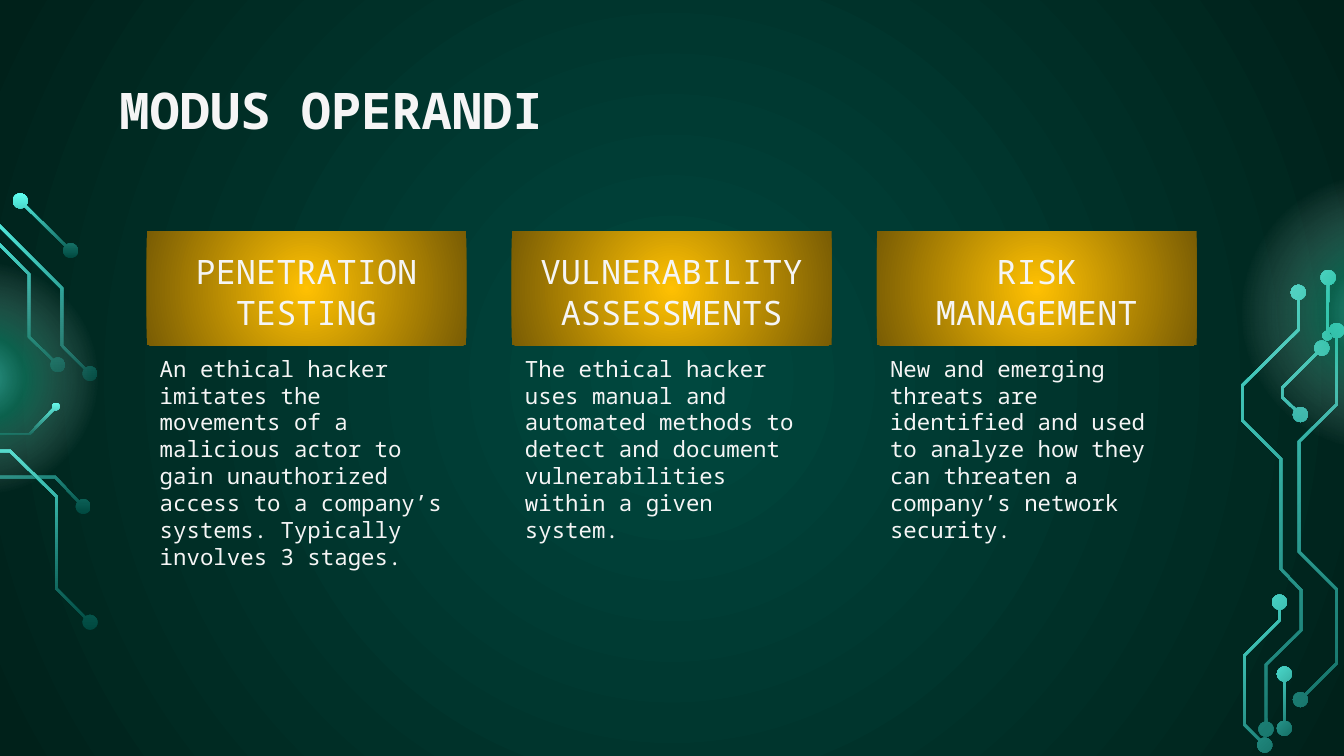
"""Build the Modus Operandi slide with three method cards and circuit traces."""
from dataclasses import dataclass
from math import cos, hypot, pi, radians, sin

from lxml.etree import SubElement
from pptx import Presentation
from pptx.dml.color import RGBColor
from pptx.enum.shapes import MSO_SHAPE
from pptx.enum.text import MSO_ANCHOR, PP_ALIGN
from pptx.oxml.ns import qn
from pptx.util import Pt

Point = tuple[float, float]

FONT = "Noto Sans Mono"
OFF_WHITE = RGBColor(0xF5, 0xF5, 0xF5)
WHITE = RGBColor(0xFF, 0xFF, 0xFF)
DEEP_GREEN = RGBColor(0x00, 0x48, 0x3F)
NIGHT_GREEN = RGBColor(0x00, 0x21, 0x1A)
AQUA = RGBColor(0x5F, 0xFF, 0xF1)
EMERALD = RGBColor(0x21, 0xC7, 0x9D)
GOLD = RGBColor(0xFF, 0xC1, 0x02)
BRONZE = RGBColor(0x79, 0x5C, 0x04)

HALF_STROKE = 0.65
DOT = 4.0
CARD_LEFT, CARD_PITCH, CARD_WIDTH = 78.5, 195.6, 171.4


@dataclass(frozen=True)
class Stop:
    position: int
    color: RGBColor
    opacity: int = 100


@dataclass(frozen=True)
class Wire:
    points: list[Point]
    start_dot: float = DOT
    end_dot: float = DOT


@dataclass(frozen=True)
class Trace:
    rotation: int
    wires: list[Wire]


@dataclass(frozen=True)
class Method:
    heading: str
    description: str


TRACE_STOPS = [Stop(0, DEEP_GREEN), Stop(100, AQUA)]
GLOW_STOPS = [Stop(0, AQUA, 55), Stop(23, EMERALD, 37), Stop(62, WHITE, 0), Stop(100, WHITE, 0)]
BACK_TRACES = [
    Trace(180, [Wire([(44.6, 271.4), (29.5, 255.6), (-29.5, 255.6), (-58.3, 226.8), (-58.3, 217.4)], end_dot=0)]),
    Trace(180, [Wire([(48.2, 200.2), (33.1, 185), (33.1, 154.4), (-9.7, 111.6), (-37.8, 111.6)])]),
    Trace(180, [Wire([(48.2, 333.4), (30.2, 315.4), (30.2, 266), (5.4, 241.6), (-54, 241.6),
                      (-76.3, 219.6), (-76.3, 216.7)], end_dot=0)]),
    Trace(180, [Wire([(31, 195.5), (15.5, 180.4), (15.5, 146.9), (-14.8, 116.3)])]),
    Trace(180, [Wire([(29.9, 217.8), (15.8, 232.6), (-33.5, 232.6), (-40.7, 225.4)], 2, 0)]),
    Trace(180, [Wire([(37.8, 134.3), (10.8, 107.6)])]),
    Trace(135, [
        Wire([(696.6, 374.8), (716, 355.3), (716, 315.7), (695.9, 295.6), (695.9, 236.5),
              (716, 216.7), (716, 177.1)]),
        Wire([(711.5, 148.7), (711, 179.8)], end_dot=2.6),
        Wire([(708.1, 186.5), (686.9, 207.7), (686.9, 212.8), (696.6, 222.1)]),
    ]),
    Trace(135, [Wire([(678.2, 390.6), (678.2, 356), (697, 337.7), (697, 316.1), (686.2, 304.9),
                      (686.2, 245.9), (665.6, 225.4), (665.6, 206.3), (695.5, 176.8), (695.5, 156.6)])]),
]
FRONT_TRACES = [
    Trace(135, [Wire([(688, 390.2), (688, 361.1)])]),
    Trace(135, [Wire([(677.5, 399.2), (666.7, 388.4), (666.7, 351), (685.4, 332.3), (685.4, 322.6)])]),
]
GLOWS = [(-80.6, 131.8, 141.8), (654.5, 82.8, 168.5)]
METHODS = [
    Method("PENETRATION TESTING",
           "An ethical hacker imitates the movements of a malicious actor to gain unauthorized "
           "access to a company’s systems. Typically involves 3 stages."),
    Method("VULNERABILITY ASSESSMENTS",
           "The ethical hacker uses manual and automated methods to detect and document "
           "vulnerabilities within a given system."),
    Method("RISK MANAGEMENT",
           "New and emerging threats are identified and used to analyze how they can threaten "
           "a company’s network security."),
]


def set_gradient(owner, fill, stops: list[Stop], angle: int | None = None) -> None:
    """Fill with a linear gradient at the angle, or a radial one without it."""
    fill.gradient()
    gradient = owner.element.find(".//" + qn("a:gradFill"))
    for child in list(gradient):
        gradient.remove(child)
    gradient.set("rotWithShape", "1")
    stop_list = SubElement(gradient, qn("a:gsLst"))
    for stop in stops:
        entry = SubElement(stop_list, qn("a:gs"), pos=str(stop.position * 1000))
        color = SubElement(entry, qn("a:srgbClr"), val=str(stop.color))
        if stop.opacity < 100:
            SubElement(color, qn("a:alpha"), val=str(stop.opacity * 1000))
    if angle is None:
        radial = SubElement(gradient, qn("a:path"), path="circle")
        SubElement(radial, qn("a:fillToRect"), dict.fromkeys("ltrb", "50000"))
    else:
        SubElement(gradient, qn("a:lin"), ang=str(angle * 60000), scaled="0")


def paint(shape, stops: list[Stop], angle: int | None = None) -> None:
    """Give a shape its gradient, without line or shadow."""
    shape.shadow.inherit = False
    shape.line.fill.background()
    set_gradient(shape, shape.fill, stops, angle)


def turn(point: Point, degrees: float) -> Point:
    """Rotate a point clockwise about the origin."""
    x, y, angle = *point, radians(degrees)
    return x * cos(angle) - y * sin(angle), x * sin(angle) + y * cos(angle)


def toward(start: Point, end: Point, distance: float) -> Point:
    """Move from start toward end by a distance."""
    share = distance / hypot(end[0] - start[0], end[1] - start[1])
    return start[0] + share * (end[0] - start[0]), start[1] + share * (end[1] - start[1])


def wire_contours(wire: Wire) -> list[list[Point]]:
    """Outline a wire with mitred corners, and its end dots."""
    points = list(wire.points)
    points[0] = toward(wire.points[0], wire.points[1], wire.start_dot)
    points[-1] = toward(wire.points[-1], wire.points[-2], wire.end_dot)
    normals = []
    for (x1, y1), (x2, y2) in zip(points, points[1:]):
        length = hypot(x2 - x1, y2 - y1)
        normals.append(((y1 - y2) / length, (x2 - x1) / length))
    left, right = [], []
    for (x, y), (ax, ay), (bx, by) in zip(points, normals[:1] + normals, normals + normals[-1:]):
        miter = HALF_STROKE / (1 + ax * bx + ay * by)
        dx, dy = (ax + bx) * miter, (ay + by) * miter
        left.append((x + dx, y + dy))
        right.append((x - dx, y - dy))
    contours = [left + right[::-1]]
    for (x, y), radius in ((wire.points[0], wire.start_dot), (wire.points[-1], wire.end_dot)):
        if radius:
            contours.append([(x + radius * cos(step * pi / 12), y + radius * sin(step * pi / 12))
                             for step in range(24)])
    return contours


def add_trace(slide, trace: Trace) -> None:
    """Draw a circuit trace as one rotated freeform."""
    contours = [[turn(point, -trace.rotation) for point in contour]
                for wire in trace.wires for contour in wire_contours(wire)]
    xs, ys = zip(*(point for contour in contours for point in contour))
    middle = (min(xs) + max(xs)) / 2, (min(ys) + max(ys)) / 2
    center = turn(middle, trace.rotation)
    shift_x, shift_y = center[0] - middle[0], center[1] - middle[1]
    placed = [[(Pt(x + shift_x), Pt(y + shift_y)) for x, y in contour] for contour in contours]
    builder = slide.shapes.build_freeform(*placed[0][0])
    builder.add_line_segments(placed[0][1:])
    for contour in placed[1:]:
        builder.move_to(*contour[0])
        builder.add_line_segments(contour[1:])
    outline = builder.convert_to_shape()
    outline.rotation = trace.rotation
    paint(outline, TRACE_STOPS, 90)


def write(shape, text: str, *, size: float, bold: bool = False,
          align: PP_ALIGN = PP_ALIGN.LEFT, anchor: MSO_ANCHOR = MSO_ANCHOR.TOP) -> None:
    """Set the text of a shape and its format."""
    frame = shape.text_frame
    frame.word_wrap = True
    frame.vertical_anchor = anchor
    frame.margin_left = frame.margin_right = frame.margin_top = frame.margin_bottom = Pt(7.2)
    paragraph = frame.paragraphs[0]
    paragraph.alignment = align
    run = paragraph.add_run()
    run.text = text
    run.font.name, run.font.size, run.font.bold = FONT, Pt(size), bold
    run.font.color.rgb = OFF_WHITE


def main() -> None:
    """Build and save the slide."""
    deck = Presentation()
    deck.slide_width, deck.slide_height = Pt(720), Pt(405)
    slide = deck.slides.add_slide(deck.slide_layouts[6])
    set_gradient(slide, slide.background.fill, [Stop(0, DEEP_GREEN), Stop(100, NIGHT_GREEN)])
    for trace in BACK_TRACES:
        add_trace(slide, trace)
    for left, top, size in GLOWS:
        glow = slide.shapes.add_shape(MSO_SHAPE.OVAL, Pt(left), Pt(top), Pt(size), Pt(size))
        paint(glow, GLOW_STOPS)
    title = slide.shapes.add_textbox(Pt(56.9), Pt(35.3), Pt(607), Pt(45.4))
    write(title, "MODUS OPERANDI", size=27, bold=True)
    for column, method in enumerate(METHODS):
        left, width = Pt(CARD_LEFT + column * CARD_PITCH), Pt(CARD_WIDTH)
        heading = slide.shapes.add_shape(MSO_SHAPE.RECTANGLE, left, Pt(123.8), width, Pt(61.2))
        paint(heading, [Stop(0, GOLD), Stop(100, BRONZE)])
        write(heading, method.heading, size=18, align=PP_ALIGN.CENTER, anchor=MSO_ANCHOR.BOTTOM)
        description = slide.shapes.add_textbox(left, Pt(182.9), width, Pt(148.3))
        write(description, method.description, size=12)
    for trace in FRONT_TRACES:
        add_trace(slide, trace)
    deck.save("out.pptx")


if __name__ == "__main__":
    main()
